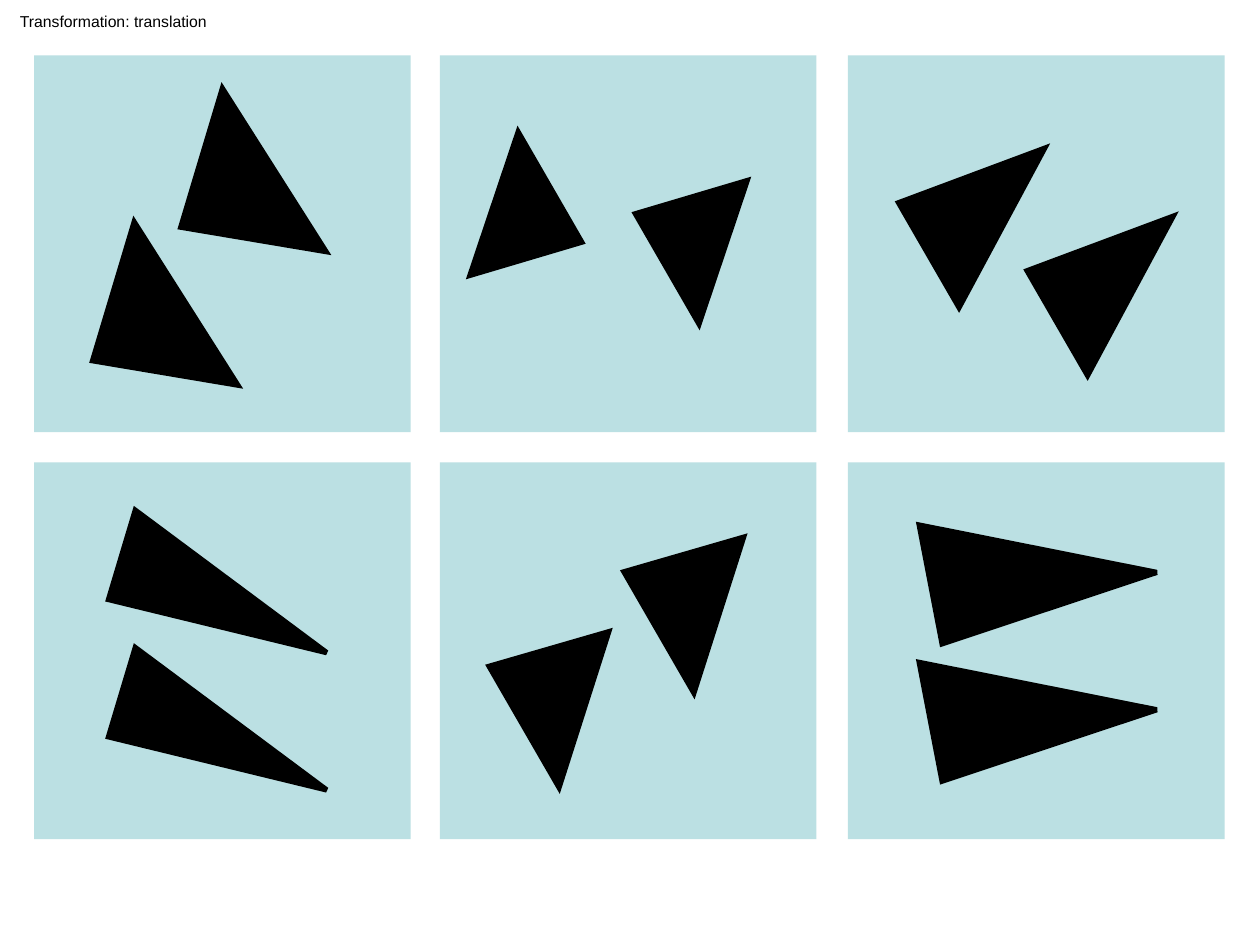
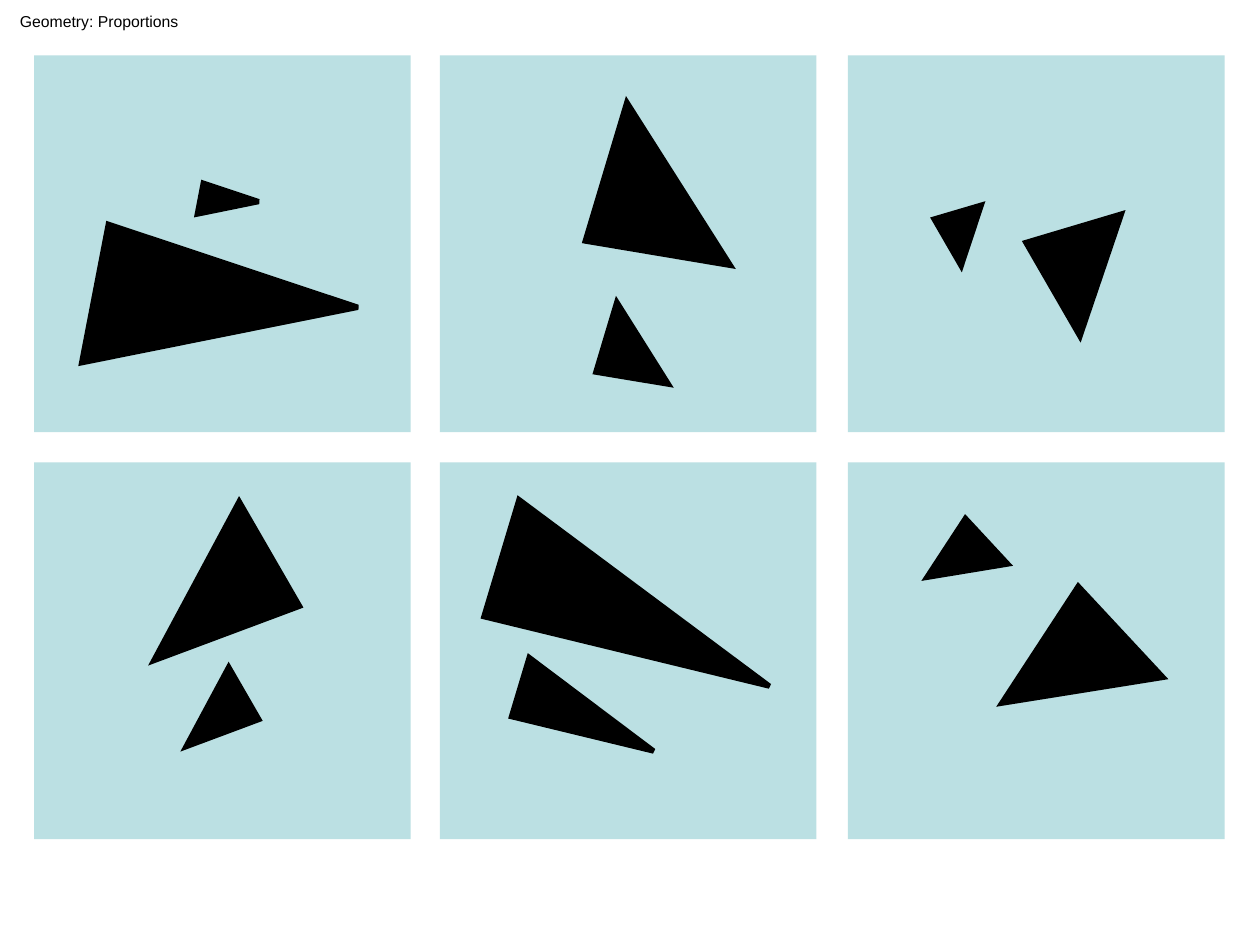
from itertools import product
from lxml.etree import SubElement
from pptx import Presentation
from pptx.dml.color import RGBColor
from pptx.enum.shapes import MSO_SHAPE
from pptx.enum.text import MSO_AUTO_SIZE
from pptx.oxml.ns import qn
from pptx.util import Pt

PX = 9144
COLORS = {"panel": "BBE0E3", "ink": "000000"}
COLS = (27, 349, 673)
ROWS = (44, 367)
SIDE = 299

POSES = {
    "steep": (240, "flipH", 0.787),
    "hang": (240, "flipV", 0.787),
    "wedge": (259.1, "flipV", 0.244),
    "lean": (286.7, "flipV", 0.127),
    "dart": (100.9, None, 0.244),
    "tent": (303.2, "flipV", 0.787),
}

SLIDES = [
    ("Transformation: translation", 168, [
        ("lean", (158, 84, 115, 116), (88, 190, 115, 116)),
        ("steep", (347, 126, 101, 90)),
        ("hang", (518, 146, 101, 90)),
        ("hang", (742, 111, 96, 122), (844, 165, 96, 122)),
        ("lean", (145, 377, 74, 178), (145, 486, 74, 178)),
        ("hang", (402, 505, 111, 96), (509, 430, 111, 96)),
        ("wedge", (778, 358, 96, 178), (778, 467, 96, 178)),
    ]),
    ("Geometry: Proportions", 146, [
        ("dart", (121, 149, 112, 207), (169, 139, 25, 46)),
        ("lean", (479, 95, 115, 116), (480, 247, 58, 58)),
        ("hang", (826, 172, 86, 77), (747, 164, 43, 38)),
        ("steep", (113, 409, 96, 122), (143, 535, 48, 61)),
        ("lean", (461, 360, 97, 233), (444, 504, 49, 116)),
        ("tent", (810, 490, 111, 96), (743, 424, 56, 48)),
    ]),
]


def scale(box):
    return [n * PX for n in box]


def draw(slide, kind, box, color):
    shape = slide.shapes.add_shape(kind, *scale(box))
    shape.shadow.inherit = False
    shape.fill.solid()
    shape.fill.fore_color.rgb = RGBColor.from_string(COLORS[color])
    shape.line.fill.background()
    return shape


def add_panels(slide):
    for top, left in product(ROWS, COLS):
        draw(slide, MSO_SHAPE.RECTANGLE, (left, top, SIDE, SIDE), "panel")


def add_tri(slide, pose, box):
    turn, flip, tip = POSES[pose]
    tri = draw(slide, MSO_SHAPE.ISOSCELES_TRIANGLE, box, "ink")
    tri.adjustments[0] = tip
    tri.rotation = turn
    tri.line.color.rgb = RGBColor.from_string(COLORS["ink"])
    tri.line.width = Pt(3)
    props = tri._element.spPr
    SubElement(props.find(qn("a:ln")), qn("a:miter"), lim="800000")
    if flip:
        props.find(qn("a:xfrm")).set(flip, "1")


def add_title(slide, text, width):
    box = slide.shapes.add_textbox(*scale((6, 4, width, 25)))
    frame = box.text_frame
    frame.word_wrap = False
    frame.auto_size = MSO_AUTO_SIZE.SHAPE_TO_FIT_TEXT
    frame.text = text
    font = frame.paragraphs[0].font
    font.name = "Arial"
    font.size = Pt(9)
    font.color.rgb = RGBColor.from_string(COLORS["ink"])


def main():
    deck = Presentation()
    deck.slide_width, deck.slide_height = scale((1000, 750))
    for title, width, groups in SLIDES:
        slide = deck.slides.add_slide(deck.slide_layouts[6])
        add_panels(slide)
        add_title(slide, title, width)
        for pose, *boxes in groups:
            for box in boxes:
                add_tri(slide, pose, box)
    deck.save("out.pptx")


if __name__ == "__main__":
    main()
